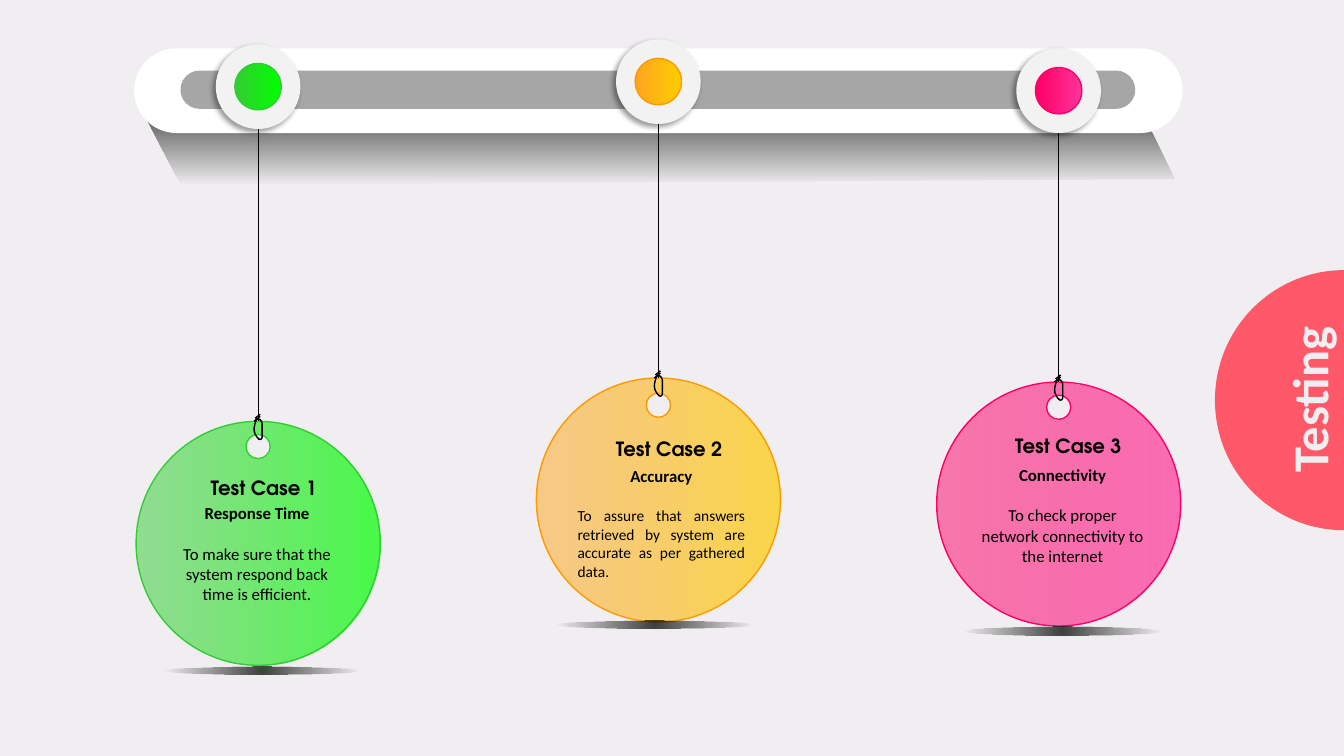
import math
from dataclasses import dataclass
from typing import Optional

import lxml.etree
import pptx
import pptx.dml.color
import pptx.enum.shapes
import pptx.enum.text
import pptx.oxml
import pptx.oxml.ns
import pptx.util

Inches = pptx.util.Inches
Pt = pptx.util.Pt
Shapes = pptx.enum.shapes.MSO_SHAPE
Align = pptx.enum.text.PP_ALIGN
qn = pptx.oxml.ns.qn
Point = tuple[float, float]
Box = tuple[float, float, float, float]

BACKGROUND = "F0EEF0"
BLACK = "000000"
FIRST_STRING, STRING_PITCH = 2.56, 3.97
KNOB, LIGHT, DISC_RADIUS, HOLE_RADIUS = 0.84, 0.46, 1.21, 0.12


@dataclass
class TestCase:
    title: str
    subject: str
    goal: str
    colors: tuple[str, str]
    outline: str
    knob_top: float
    disc_top: float
    hole_drop: float
    title_at: Point
    body_box: Box
    shadow_at: Point
    goal_size: int = 12
    goal_align: Align = Align.CENTER


CASES = [
    TestCase("Test Case 1", "Response Time",
             "To make sure that the system respond back time is efficient.",
             ("33CC33", "00FF00"), "33CC33", 0.44, 4.18, 0.25,
             (1.99, 4.67), (1.58, 4.94, 1.94, 1.31), (1.62, 6.61)),
    TestCase("Test Case 2", "Accuracy",
             "To assure that answers retrieved by system are accurate as per gathered data.",
             ("FFA51F", "FFCC00"), "FF9900", 0.39, 3.75, 0.27,
             (6.01, 4.29), (5.63, 4.57, 1.86, 1.25), (5.51, 6.16), 11, Align.JUSTIFY),
    TestCase("Test Case 3", "Connectivity",
             "To check proper network connectivity to the internet",
             ("FF0066", "FF3399"), "FF0066", 0.48, 3.79, 0.25,
             (9.97, 4.26), (9.61, 4.56, 1.86, 1.51), (9.56, 6.22)),
]

# Thread loop around the hole, relative to the top of a disc: Bezier points, then knot lines
LOOPS = [
    [(0.01, 0.18), (-0.02, 0.15), (-0.04, 0.12), (-0.04, 0.08),
     (-0.04, 0.05), (-0.03, 0.01), (-0.01, -0.03)],
    [(-0.01, -0.02), (0.02, -0.03), (0.03, -0.01), (0.04, 0.02), (0.04, 0.05),
     (0.04, 0.14), (0.04, 0.16), (0.03, 0.19), (0.01, 0.18), (0, 0.17)],
]
KNOTS = [((-0.04, 0), (0.02, -0.05)), ((-0.03, -0.03), (0.02, -0.07))]


def rgb(color: str):
    return pptx.dml.color.RGBColor.from_string(color)


def style(shape, fill: Optional[str] = None, line: Optional[str] = None):
    shape.shadow.inherit = False
    if fill:
        shape.fill.solid()
        shape.fill.fore_color.rgb = rgb(fill)
    else:
        shape.fill.background()
    if line:
        shape.line.color.rgb = rgb(line)
        shape.line.width = Pt(1)
    else:
        shape.line.fill.background()
    return shape


def gradient(shape, colors: tuple[str, str], opacity=(100, 100), angle=0, radial=False) -> None:
    shape.fill.gradient()
    shape.fill.gradient_angle = angle
    for stop, color, position in zip(shape.fill.gradient_stops, colors, (0, 1)):
        stop.color.rgb = rgb(color)
        stop.position = position
    grad_fill = shape._element.spPr.find(qn("a:gradFill"))
    for element, percent in zip(grad_fill.iter(qn("a:srgbClr")), opacity):
        if percent < 100:
            lxml.etree.SubElement(element, qn("a:alpha"), val=str(percent * 1000))
    if radial:
        grad_fill.replace(grad_fill.find(qn("a:lin")), pptx.oxml.parse_xml(
            f'<a:path {pptx.oxml.ns.nsdecls("a")} path="circle">'
            '<a:fillToRect l="50000" t="50000" r="50000" b="50000"/></a:path>'))


def add_shape(parent, kind, box: Box, fill: Optional[str] = None, line: Optional[str] = None):
    return style(parent.shapes.add_shape(kind, *map(Inches, box)), fill, line)


def add_outline(parent, contours: list[list[Point]], closed=True, curved=True,
                fill: Optional[str] = None, line: Optional[str] = None):
    """Draw contours; when curved, each three points after the first make a Bezier segment."""
    contours = [[(Inches(x), Inches(y)) for x, y in contour] for contour in contours]
    builder = parent.shapes.build_freeform(*contours[0][0], scale=1.0)
    for index, contour in enumerate(contours):
        if index:
            builder.move_to(*contour[0])
        builder.add_line_segments(contour[1:], close=closed)
    shape = builder.convert_to_shape()
    if curved:
        segments = list(shape._element.spPr.iter(qn("a:lnTo")))
        for first in range(0, len(segments), 3):
            curve = lxml.etree.Element(qn("a:cubicBezTo"))
            segments[first].addprevious(curve)
            for segment in segments[first:first + 3]:
                curve.append(segment[0])
                segment.getparent().remove(segment)
    return style(shape, fill, line)


def arc(center: Point, radii: Point, quarters=4, direction=1) -> list[Point]:
    """Bezier points of quarter turns that start at the top of an ellipse."""
    points = [(0.0, -1.0)]
    for quarter in range(quarters):
        start, end = (math.radians(-90 + direction * 90 * q) for q in (quarter, quarter + 1))
        handle = 0.5523 * direction
        points += [
            (math.cos(start) - handle * math.sin(start), math.sin(start) + handle * math.cos(start)),
            (math.cos(end) + handle * math.sin(end), math.sin(end) - handle * math.cos(end)),
            (math.cos(end), math.sin(end)),
        ]
    return [(center[0] + radii[0] * x, center[1] + radii[1] * y) for x, y in points]


def add_line(parent, start: Point, end: Point, width: float) -> None:
    connector = parent.shapes.add_connector(
        pptx.enum.shapes.MSO_CONNECTOR.STRAIGHT, *map(Inches, start + end))
    connector.line.color.rgb = rgb(BLACK)
    connector.line.width = Pt(width)
    lxml.etree.SubElement(connector._element.spPr, qn("a:effectLst"))


def add_text(parent, box: Box, lines: list[str], size: float, font="Calibri",
             color=BLACK, align=Align.CENTER, wrap=True):
    text_box = parent.shapes.add_textbox(*map(Inches, box))
    frame = text_box.text_frame
    frame.text = "\n".join(lines)
    frame.word_wrap = wrap
    for paragraph in frame.paragraphs:
        paragraph.alignment = align
        for run in paragraph.runs:
            run.font.name, run.font.size, run.font.bold = font, Pt(size), True
            run.font.color.rgb = rgb(color)
    return text_box


def add_knob(parent, case: TestCase, x: float) -> None:
    knob = add_shape(parent, Shapes.OVAL, (x - KNOB / 2, case.knob_top, KNOB, KNOB), "F2F2F2")
    knob._element.spPr.find(qn("a:effectLst")).append(pptx.oxml.parse_xml(
        f'<a:outerShdw {pptx.oxml.ns.nsdecls("a")} blurRad="50800" dist="38100" dir="8100000">'
        '<a:srgbClr val="000000"><a:alpha val="40000"/></a:srgbClr></a:outerShdw>'))
    light_top = case.knob_top + (KNOB - LIGHT) / 2
    light = add_shape(parent, Shapes.OVAL, (x - LIGHT / 2, light_top, LIGHT, LIGHT),
                      line=case.outline)
    gradient(light, case.colors)


def add_case(slide, case: TestCase, x: float) -> None:
    group = slide.shapes.add_group_shape()
    top = case.disc_top
    disc = add_outline(group, [
        arc((x, top + case.hole_drop), (HOLE_RADIUS, HOLE_RADIUS), direction=-1),
        arc((x, top + DISC_RADIUS), (DISC_RADIUS, DISC_RADIUS)),
    ], line=case.outline)
    gradient(disc, case.colors, (50, 70))
    add_knob(group, case, x)
    add_line(group, (x, case.knob_top + KNOB), (x, top), 0.5)
    for loop in LOOPS:
        add_outline(group, [[(x + dx, top + dy) for dx, dy in loop]], closed=False, line=BLACK)
    for (x1, y1), (x2, y2) in KNOTS:
        add_line(group, (x + x1, top + y1), (x + x2, top + y2), 1)
    shadow = add_shape(group, Shapes.OVAL, (*case.shadow_at, 1.96, 0.08))
    gradient(shadow, (BLACK, BLACK), (74, 0), radial=True)
    body = add_text(group, case.body_box, [case.subject, case.goal], 12)
    goal = body.text_frame.paragraphs[1]
    goal.space_before = Pt(14.6)
    goal.alignment = case.goal_align
    goal.runs[0].font.bold = False
    goal.runs[0].font.size = Pt(case.goal_size)
    add_text(group, (*case.title_at, 1.27, 0.34), [case.title], 14,
             "TeX Gyre Adventor", align=Align.LEFT, wrap=False)


def main() -> None:
    presentation = pptx.Presentation()
    presentation.slide_width, presentation.slide_height = Inches(13.33), Inches(7.5)
    slide = presentation.slides.add_slide(presentation.slide_layouts[6])
    slide.background.fill.solid()
    slide.background.fill.fore_color.rgb = rgb(BACKGROUND)

    rail_shadow = add_outline(slide, [[(1.79, 1.83), (1.36, 1.02), (11.35, 1.17), (11.65, 1.77)]],
                              curved=False)
    gradient(rail_shadow, (BLACK, BLACK), (74, 0), angle=270)
    for box, color in (((1.33, 0.48, 10.4, 0.84), "FFFFFF"), ((1.79, 0.7, 9.47, 0.38), "A6A6A6")):
        add_shape(slide, Shapes.ROUNDED_RECTANGLE, box, color).adjustments[0] = 0.5

    for index, case in enumerate(CASES):
        add_case(slide, case, FIRST_STRING + index * STRING_PITCH)

    add_outline(slide, [arc((13.33, 3.97), (1.28, 1.29), 2, -1)], fill="FF5969")
    add_text(slide, (11.89, 3.61, 2.18, 0.71), ["Testing"], 36, color=BACKGROUND).rotation = 270
    presentation.save("out.pptx")


if __name__ == "__main__":
    main()
